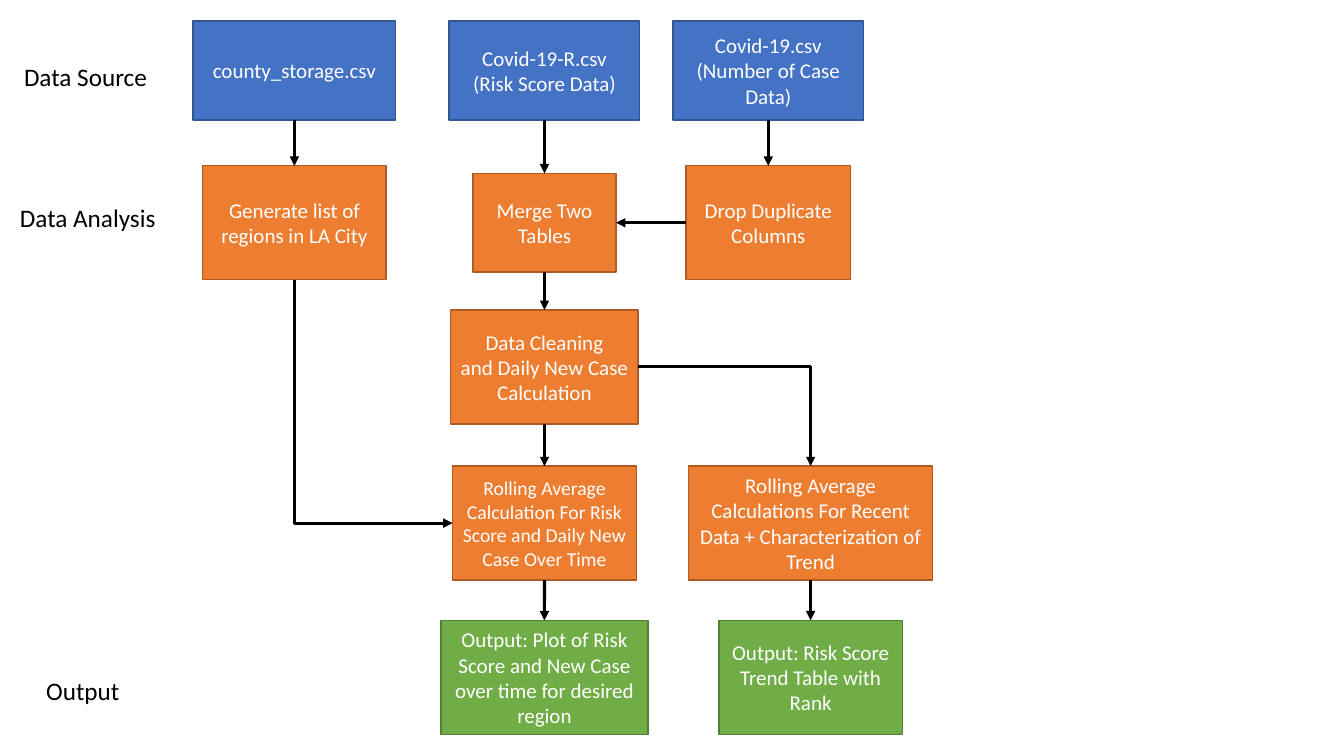
from pptx import Presentation
from pptx.dml.color import RGBColor
from pptx.enum.shapes import MSO_CONNECTOR, MSO_SHAPE
from pptx.enum.text import MSO_ANCHOR, PP_ALIGN
from pptx.oxml.ns import qn
from pptx.util import Inches, Pt
from lxml.etree import SubElement

# Grid: box centres in inches
COLS = {"county": 2.92, "risk": 5.4, "case": 7.62, "trend": 8.04}
ROWS = {"source": 0.7, "prep": 2.21, "clean": 3.64, "roll": 5.19, "out": 6.72}

# Fill and outline of each kind of step
BLUE = ("4472C4", "325491")
ORANGE = ("ED7D31", "AF5C24")
GREEN = ("70AD47", "538035")

# Connection sites of a box
TOP, LEFT, BOTTOM, RIGHT = range(4)

# Key: column, row, width, height, colours, text, text size
STEPS = {
    "county": ("county", "source", 2.01, 0.98, BLUE, "county_storage.csv", 15),
    "risk": ("risk", "source", 1.89, 0.98, BLUE,
             "Covid-19-R.csv\n(Risk Score Data)", 15),
    "case": ("case", "source", 1.89, 0.98, BLUE,
             "Covid-19.csv\n(Number of Case Data)", 15),
    "list": ("county", "prep", 1.82, 1.13, ORANGE,
             "Generate list of regions in LA City", 15),
    "merge": ("risk", "prep", 1.42, 0.98, ORANGE, "Merge Two Tables", 15),
    "drop": ("case", "prep", 1.63, 1.13, ORANGE, "Drop Duplicate Columns", 15),
    "clean": ("risk", "clean", 1.86, 1.13, ORANGE,
              "Data Cleaning\nand Daily New Case Calculation", 15),
    "roll": ("risk", "roll", 1.82, 1.13, ORANGE,
             "Rolling Average Calculation For Risk Score and Daily New Case "
             "Over Time", 14),
    "recent": ("trend", "roll", 2.42, 1.13, ORANGE,
               "Rolling Average Calculations For Recent Data + "
               "Characterization of Trend", 15),
    "plot": ("risk", "out", 2.05, 1.13, GREEN,
             "Output: Plot of Risk Score and New Case over time for desired "
             "region", 15),
    "table": ("trend", "out", 1.82, 1.13, GREEN,
              "Output: Risk Score Trend Table with Rank", 15),
}

LINKS = [
    ("county", BOTTOM, "list", TOP),
    ("risk", BOTTOM, "merge", TOP),
    ("case", BOTTOM, "drop", TOP),
    ("drop", LEFT, "merge", RIGHT),
    ("merge", BOTTOM, "clean", TOP),
    ("clean", BOTTOM, "roll", TOP),
    ("roll", BOTTOM, "plot", TOP),
    ("recent", BOTTOM, "table", TOP),
    ("list", BOTTOM, "roll", LEFT),
    ("clean", RIGHT, "recent", TOP),
]

# Text, left, top
LABELS = [
    ("Data Source", 0.14, 0.56),
    ("Data Analysis", 0.1, 1.96),
    ("Output", 0.36, 6.65),
]


def color(code):
    return RGBColor.from_string(code)


def style(frame, size, code, align):
    frame.word_wrap = True
    for para in frame.paragraphs:
        para.alignment = align
        for run in para.runs:
            run.font.name = "Calibri"
            run.font.size = Pt(size)
            run.font.color.rgb = color(code)


def add_step(slide, col, row, width, height, tones, text, size):
    left, top = COLS[col] - width / 2, ROWS[row] - height / 2
    box = slide.shapes.add_shape(
        MSO_SHAPE.FLOWCHART_PROCESS,
        Inches(left), Inches(top), Inches(width), Inches(height))
    box.shadow.inherit = False
    box.fill.solid()
    box.fill.fore_color.rgb = color(tones[0])
    box.line.color.rgb = color(tones[1])
    box.line.width = Pt(1)
    box.text_frame.text = text
    box.text_frame.vertical_anchor = MSO_ANCHOR.MIDDLE
    style(box.text_frame, size, "FFFFFF", PP_ALIGN.CENTER)
    return box


def add_label(slide, text, left, top):
    box = slide.shapes.add_textbox(
        Inches(left), Inches(top), Inches(1.56), Inches(0.4))
    box.text_frame.text = text
    style(box.text_frame, 18, "000000", PP_ALIGN.LEFT)


def bend(line, down):
    """Give the line one corner; down means it leaves vertically."""
    line._element.spPr.find(qn("a:prstGeom")).set("prst", "bentConnector2")
    if down:
        # Swap the sides about the centre, then turn and mirror
        wide, high = line.width, line.height
        line.left += (wide - high) // 2
        line.top += (high - wide) // 2
        line.width, line.height = high, wide
        line.rotation = 270
        line._element.spPr.find(qn("a:xfrm")).set("flipH", "1")


def add_link(slide, start, exit, end, entry):
    # Sites of equal parity face each other along one axis
    straight = exit % 2 == entry % 2
    kind = MSO_CONNECTOR.STRAIGHT if straight else MSO_CONNECTOR.ELBOW
    line = slide.shapes.add_connector(kind, 0, 0, 0, 0)
    line.begin_connect(start, exit)
    line.end_connect(end, entry)
    if not straight:
        bend(line, exit == BOTTOM)
    line.line.color.rgb = color("000000")
    line.line.width = Pt(2.25)
    SubElement(line.line._get_or_add_ln(), qn("a:tailEnd"), type="triangle")
    SubElement(line._element.spPr, qn("a:effectLst"))


def main():
    deck = Presentation()
    deck.slide_width, deck.slide_height = Inches(13.33), Inches(7.5)
    slide = deck.slides.add_slide(deck.slide_layouts[6])

    # Flow chart
    boxes = {key: add_step(slide, *step) for key, step in STEPS.items()}
    for start, exit, end, entry in LINKS:
        add_link(slide, boxes[start], exit, boxes[end], entry)

    # Row labels
    for label in LABELS:
        add_label(slide, *label)

    deck.save("out.pptx")


main()
